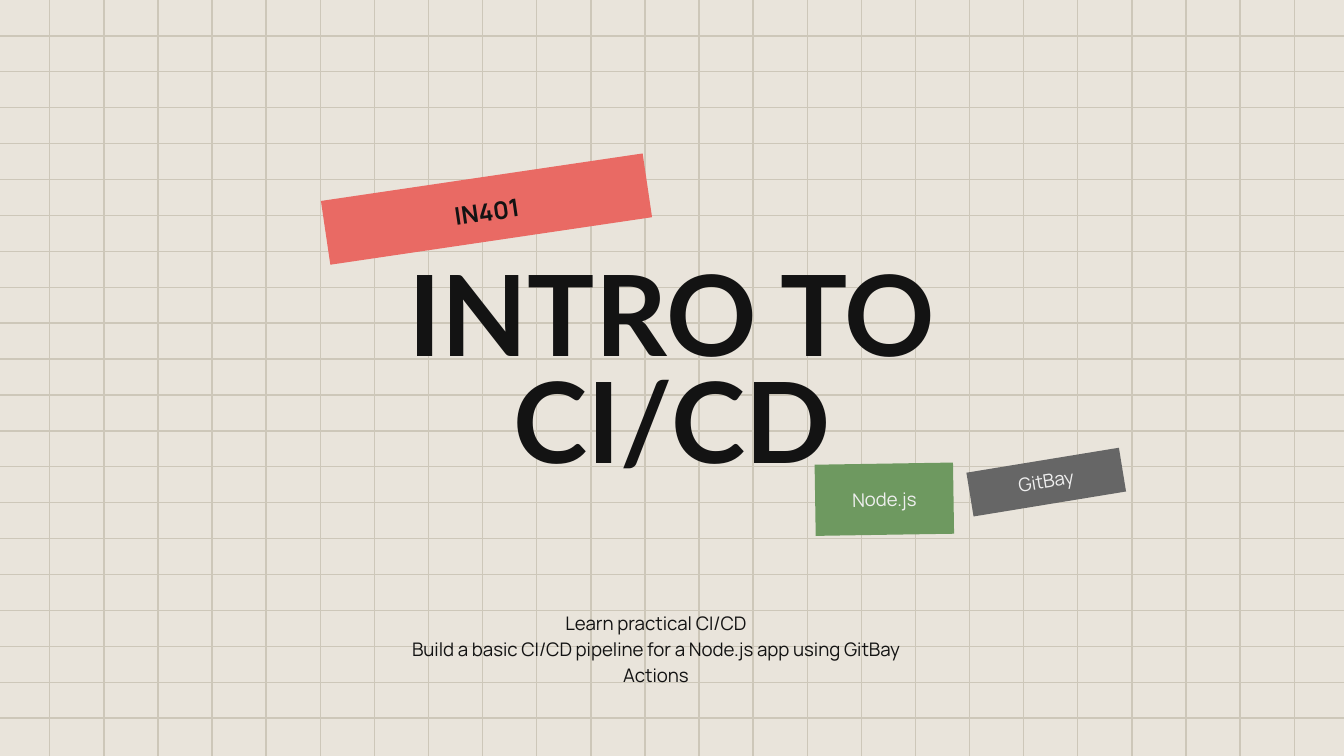
from dataclasses import dataclass
from itertools import product

from pptx import Presentation
from pptx import util as u
from pptx.dml.color import RGBColor
from pptx.enum import shapes, text
from pptx.oxml import ns
from lxml import etree

W, H = u.Inches(10), u.Inches(5.625)
COLUMNS, ROWS = 24, 20


@dataclass(frozen=True)
class Theme:
    paper: str = "E9E4DB"
    grid: str = "CDC7B9"
    ink: str = "131313"
    light: str = "EFEFEF"
    red: str = "E96A64"
    green: str = "6E9960"
    gray: str = "666666"
    heading_font: str = "Lato"
    body_font: str = "Manrope"
    title_size: int = 60
    tag_size: int = 13
    body_size: int = 10
    grid_width: float = 0.75


@dataclass(frozen=True)
class Box:
    """A frame in percent of the slide's width and height."""
    left: float
    top: float
    width: float
    height: float


@dataclass(frozen=True)
class Label:
    words: str
    box: Box
    rotation: float
    fill: str
    color: str
    size: int
    bold: bool
    spacing: float


T = Theme()
TITLE_BOX = Box(11.8, 33.5, 76.4, 32.89)
SUMMARY_BOX = Box(29.05, 81.07, 39.5, 9.07)
LABELS = [
    Label("Node.js", Box(60.65, 61.33, 10.3, 9.42), 359.1, T.green, T.light,
          T.body_size, False, 1.0),
    Label("GitBay", Box(72.1, 60.85, 11.5, 5.87), 350.7, T.gray, T.light,
          T.body_size, False, 0.9),
    Label("IN401", Box(24.1, 23.4, 24.2, 8.53), 351.6, T.red, T.ink,
          T.tag_size, True, 1.15),
]


def across(percent: float) -> int:
    return round(W * percent / 100)


def down(percent: float) -> int:
    return round(H * percent / 100)


def frame(box: Box) -> tuple[int, int, int, int]:
    return across(box.left), down(box.top), across(box.width), down(box.height)


def write(sp, lines: list[str], *, font: str = T.body_font, size: int = T.body_size,
          color: str = T.ink, bold: bool = False, spacing: float = 1.0) -> None:
    tf = sp.text_frame
    tf.word_wrap = True
    tf.auto_size = text.MSO_AUTO_SIZE.NONE
    tf.vertical_anchor = text.MSO_ANCHOR.MIDDLE
    tf.margin_left = tf.margin_right = u.Inches(0.1)
    tf.margin_top = tf.margin_bottom = u.Inches(0.1)
    for i, line in enumerate(lines):
        p = tf.add_paragraph() if i else tf.paragraphs[0]
        p.alignment = text.PP_ALIGN.CENTER
        p.line_spacing = spacing
        p.space_before = u.Pt(0)
        r = p.add_run()
        r.text = line
        r.font.name = font
        r.font.size = u.Pt(size)
        r.font.bold = bold
        r.font.color.rgb = RGBColor.from_string(color)


def draw_grid_line(s, x1: int, y1: int, x2: int, y2: int) -> None:
    line = s.shapes.add_connector(shapes.MSO_CONNECTOR.STRAIGHT, x1, y1, x2, y2)
    line.line.color.rgb = RGBColor.from_string(T.grid)
    line.line.width = u.Pt(T.grid_width)
    etree.SubElement(line._element.spPr, ns.qn("a:effectLst"))


def draw_grid(s) -> None:
    """Draw four quarters, each reaching one cell past the middle."""
    first_column, last_column, last_row = 3.7, 96.3, 95
    column_step = (last_column - first_column) / (COLUMNS - 1)
    xs = [across(first_column + i * column_step) for i in range(COLUMNS)]
    ys = [down(i * last_row / ROWS) for i in range(1, ROWS + 1)]
    half_x, half_y = COLUMNS // 2, ROWS // 2
    left_right = [(xs[:half_x], 0, xs[half_x]), (xs[half_x:], xs[half_x - 1], W)]
    top_bottom = [(ys[:half_y], 0, ys[half_y]), (ys[half_y:], ys[half_y - 1], H)]
    for (columns, x1, x2), (rows, y1, y2) in product(left_right, top_bottom):
        for x in columns:
            draw_grid_line(s, x, y1, x, y2)
        for y in rows:
            draw_grid_line(s, x1, y, x2, y)


def place_title(s) -> None:
    """Format the title and bring it in front of the grid."""
    title = s.shapes.title
    title.left, title.top, title.width, title.height = frame(TITLE_BOX)
    write(title, ["INTRO TO", "CI/CD"], font=T.heading_font, size=T.title_size,
          bold=True, spacing=0.8)
    s.shapes._spTree.append(title._element)


def draw_label(s, label: Label) -> None:
    sp = s.shapes.add_shape(shapes.MSO_SHAPE.RECTANGLE, *frame(label.box))
    sp.rotation = label.rotation
    sp.shadow.inherit = False
    sp.fill.solid()
    sp.fill.fore_color.rgb = RGBColor.from_string(label.fill)
    sp.line.fill.background()
    write(sp, [label.words], size=label.size, color=label.color,
          bold=label.bold, spacing=label.spacing)


def draw_summary(s) -> None:
    write(s.shapes.add_textbox(*frame(SUMMARY_BOX)),
          ["Learn practical CI/CD",
           "Build a basic CI/CD pipeline for a Node.js app using GitBay Actions"],
          spacing=1.15)


def main() -> None:
    prs = Presentation()
    prs.slide_width, prs.slide_height = W, H
    s = prs.slides.add_slide(prs.slide_layouts.get_by_name("Title Only"))
    s.background.fill.solid()
    s.background.fill.fore_color.rgb = RGBColor.from_string(T.paper)
    draw_grid(s)
    place_title(s)
    draw_summary(s)
    for label in LABELS:
        draw_label(s, label)
    prs.save("out.pptx")


if __name__ == "__main__":
    main()
